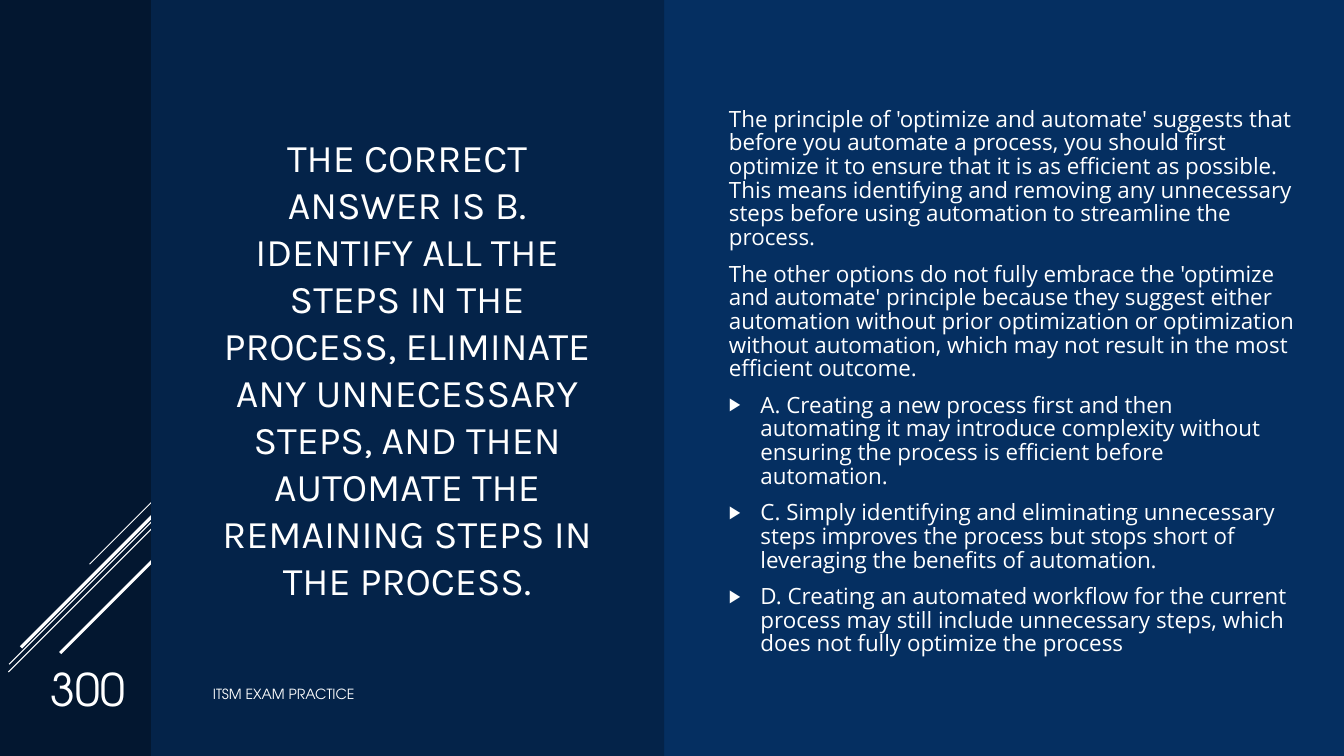
"""Build the exam answer slide with its explanation."""
from lxml import etree
from pptx import Presentation
from pptx.dml.color import RGBColor
from pptx.enum.shapes import MSO_CONNECTOR, MSO_SHAPE
from pptx.enum.text import MSO_ANCHOR, MSO_AUTO_SIZE, PP_ALIGN
from pptx.oxml.ns import qn
from pptx.util import Pt

RECT = MSO_SHAPE.RECTANGLE
STRAIGHT = MSO_CONNECTOR.STRAIGHT
LEFT, CENTER, RIGHT = PP_ALIGN.LEFT, PP_ALIGN.CENTER, PP_ALIGN.RIGHT
TOP, MIDDLE, BOTTOM = MSO_ANCHOR.TOP, MSO_ANCHOR.MIDDLE, MSO_ANCHOR.BOTTOM

WIDTH, HEIGHT = 960, 540
BLUE, NAVY, DARK, WHITE = "052F61", "042349", "031730", "FFFFFF"
KARLA, SANS, ADVENTOR = "Karla", "Open Sans", "TeX Gyre Adventor"

TITLE = ("THE CORRECT ANSWER IS B. IDENTIFY ALL THE STEPS IN THE PROCESS, "
         "ELIMINATE ANY UNNECESSARY STEPS, AND THEN AUTOMATE THE REMAINING "
         "STEPS IN THE PROCESS.")
INTRO = [
    "The principle of 'optimize and automate' suggests that before you "
    "automate a process, you should first optimize it to ensure that it is as "
    "efficient as possible. This means identifying and removing any "
    "unnecessary steps before using automation to streamline the process.",
    "The other options do not fully embrace the 'optimize and automate' "
    "principle because they suggest either automation without prior "
    "optimization or optimization without automation, which may not result in "
    "the most efficient outcome.",
]
OPTIONS = [
    "A. Creating a new process first and then automating it may introduce "
    "complexity without ensuring the process is efficient before automation.",
    "C. Simply identifying and eliminating unnecessary steps improves the "
    "process but stops short of leveraging the benefits of automation.",
    "D. Creating an automated workflow for the current process may still "
    "include unnecessary steps, which does not fully optimize the process",
]
NUMBER = "300"
FOOTER = "ITSM EXAM PRACTICE"

STRIPE_RIGHT = 118
STRIPES = [(349, 54, 0.75), (363, 111.5, 0.75), (368, 112, 0.75),
           (359.5, 103, 2.25), (391.5, 75, 2.25)]
INDENT = 22.5


def rgb(value):
    return RGBColor.from_string(value)


def add_panel(slide, left, width, color):
    sp = slide.shapes.add_shape(RECT, Pt(left), 0, Pt(width), Pt(HEIGHT))
    sp.shadow.inherit = False
    sp.fill.solid()
    sp.fill.fore_color.rgb = rgb(color)
    sp.line.fill.background()


def add_stripe(slide, top, run, weight):
    line = slide.shapes.add_connector(
        STRAIGHT, Pt(STRIPE_RIGHT), Pt(top), Pt(STRIPE_RIGHT - run), Pt(top + run))
    line.line.color.rgb = rgb(WHITE)
    line.line.width = Pt(weight)
    etree.SubElement(line._element.spPr, qn("a:effectLst"))


def write(sp, box, lines, font, size, align, anchor):
    sp.left, sp.top, sp.width, sp.height = (Pt(n) for n in box)
    tf = sp.text_frame
    tf.text = "\n".join(lines)
    tf.word_wrap = True
    tf.auto_size = MSO_AUTO_SIZE.NONE
    tf.vertical_anchor = anchor
    for p in tf.paragraphs:
        p.alignment = align
        for r in p.runs:
            r.font.name = font
            r.font.size = Pt(size)
            r.font.color.rgb = rgb(WHITE)
    return tf.paragraphs


def set_bullet(p, bulleted):
    pPr = p._p.get_or_add_pPr()
    indent = Pt(INDENT) if bulleted else 0
    pPr.set("marL", str(indent))
    pPr.set("indent", str(-indent))
    if bulleted:
        color = etree.SubElement(pPr, qn("a:buClr"))
        etree.SubElement(color, qn("a:srgbClr"), val=WHITE)
        etree.SubElement(pPr, qn("a:buSzPct"), val="80000")
        etree.SubElement(pPr, qn("a:buChar"), char="▶")
    else:
        etree.SubElement(pPr, qn("a:buNone"))


def main():
    prs = Presentation()
    prs.slide_width, prs.slide_height = Pt(WIDTH), Pt(HEIGHT)
    slide = prs.slides.add_slide(prs.slide_layouts[1])
    title, body = slide.placeholders
    add_panel(slide, 0, WIDTH, BLUE)
    add_panel(slide, 0, 113, DARK)
    for stripe in STRIPES:
        add_stripe(slide, *stripe)
    add_panel(slide, 108, 366.5, NAVY)
    for sp in (title, body):
        slide.shapes._spTree.append(sp._element)

    write(title, (145, 54, 291.5, 418), [TITLE], KARLA, 28, CENTER, MIDDLE)
    paragraphs = write(body, (513.5, 54, 420, 438.5), INTRO + OPTIONS,
                       SANS, 16, LEFT, MIDDLE)
    for i, p in enumerate(paragraphs):
        p.line_spacing = 0.88
        p.space_before = Pt(3.2)
        p.space_after = Pt(6)
        set_bullet(p, i >= len(INTRO))

    number = slide.shapes.add_textbox(0, 0, 0, 0)
    write(number, (6.5, 462, 90, 52.5), [NUMBER], ADVENTOR, 32, RIGHT, BOTTOM)
    footer = slide.shapes.add_textbox(0, 0, 0, 0)
    write(footer, (145, 486, 312, 29), [FOOTER], ADVENTOR, 10, LEFT, TOP)
    prs.save("out.pptx")


if __name__ == "__main__":
    main()
